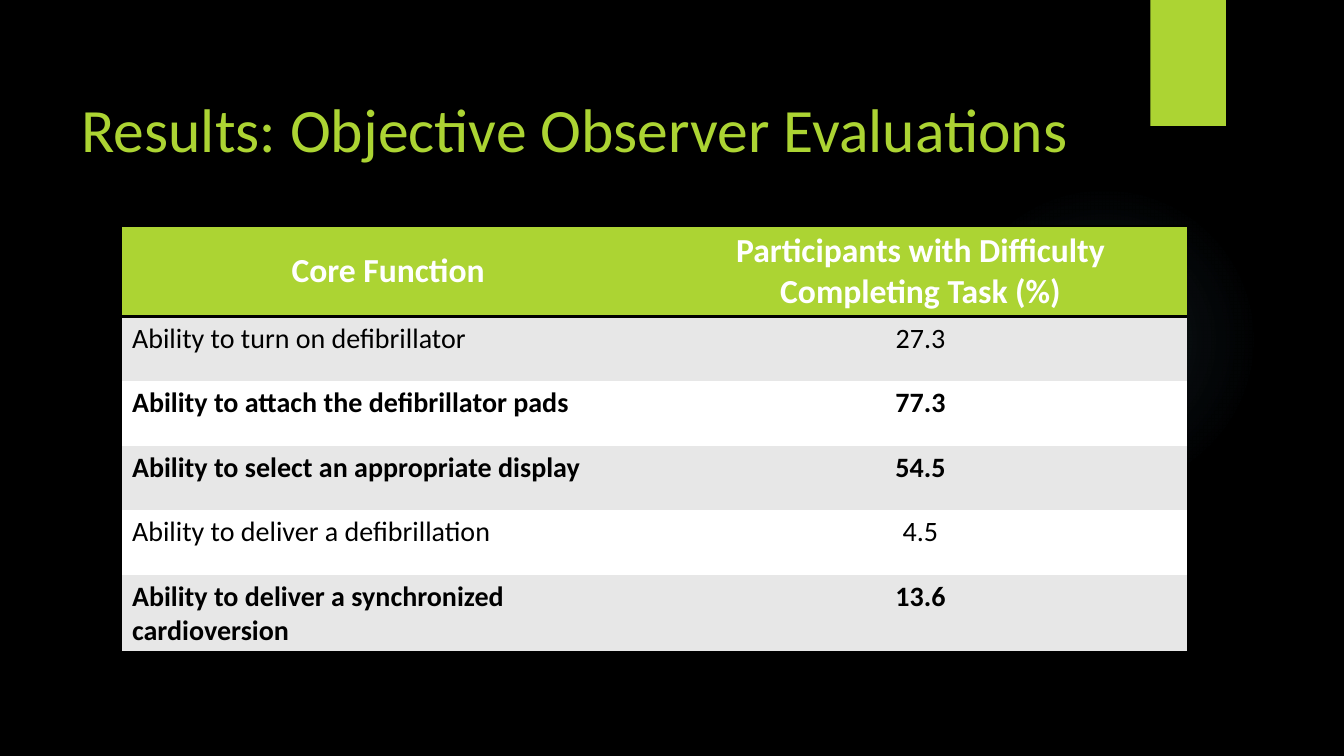
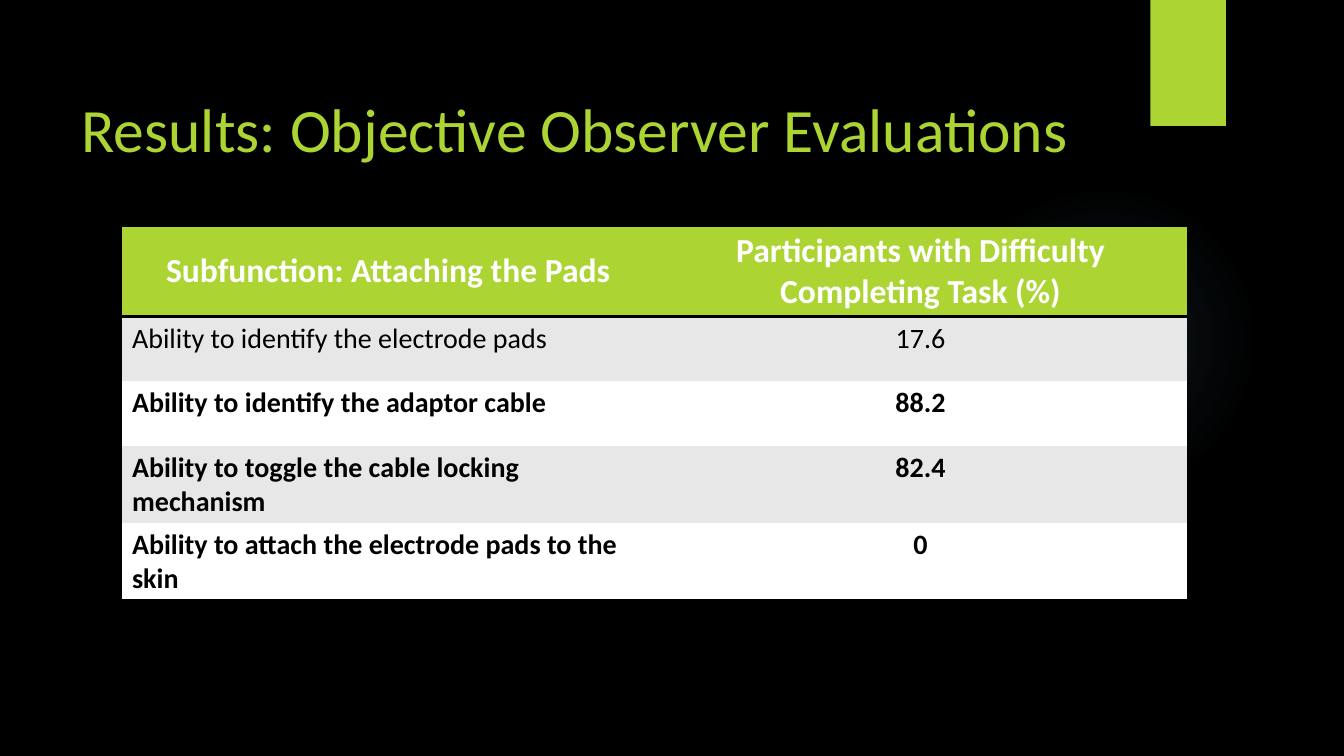
from dataclasses import dataclass

from lxml.etree import SubElement
from pptx import Presentation
from pptx.dml.color import RGBColor
from pptx.enum.shapes import MSO_SHAPE
from pptx.enum.text import MSO_ANCHOR, PP_ALIGN
from pptx.oxml import parse_xml
from pptx.oxml.ns import nsdecls, qn
from pptx.presentation import Presentation as Deck
from pptx.shapes.autoshape import Shape
from pptx.slide import Slide
from pptx.table import _Cell as Cell
from pptx.text.text import TextFrame
from pptx.util import Inches, Pt


@dataclass(frozen=True)
class Theme:
    """Colours, font and type sizes shared by the deck."""

    font: str = "Calibri"
    background: str = "000000"
    accent: str = "ACD433"
    glow: str = "7AC4F0"
    header_text: str = "FFFFFF"
    body_text: str = "000000"
    rule: str = "000000"
    stripes: tuple[str, str] = ("E7E7E7", "FFFFFF")
    title_size: int = 44
    header_size: int = 24
    body_size: int = 20
    rule_width: int = 2


@dataclass(frozen=True)
class Area:
    """A rectangle on the slide, in inches."""

    left: float
    top: float
    width: float
    height: float

    def lengths(self) -> tuple[int, int, int, int]:
        """Return the rectangle as slide lengths."""
        return (Inches(self.left), Inches(self.top),
                Inches(self.width), Inches(self.height))


@dataclass(frozen=True)
class TextStyle:
    """How one run of text looks."""

    size: int
    colour: str
    bold: bool = False
    align: PP_ALIGN = PP_ALIGN.LEFT


@dataclass(frozen=True)
class Task:
    """One evaluated task and the share of participants in difficulty."""

    name: str
    percent: str
    bold: bool = False


@dataclass(frozen=True)
class ResultPage:
    """The content of one results slide."""

    heading: str
    tasks: tuple[Task, ...]


THEME = Theme()
SLIDE_WIDTH, SLIDE_HEIGHT = 13.33, 7.5
GLOW = Area(9.41, 1.83, 3.08, 3.08)
BAND = Area(11.41, 0, 0.75, SLIDE_HEIGHT / 6)
TITLE = Area(0.71, 0.5, 10.29, 1.53)
TABLE_LEFT, TABLE_TOP, TABLE_WIDTH, ROW_HEIGHT = 1.21, 2.24, 10.56, 0.64
GLOW_STOPS = ((0, 7), (36, 6), (69, 0))
PLAIN_TABLE_STYLE = "{2D5ABB26-0587-4C30-8999-92F81FD0307C}"

TITLE_TEXT = "Results: Objective Observer Evaluations"
PERCENT_HEADING = "Participants with Difficulty Completing Task (%)"
PAGES = (
    ResultPage("Core Function", (
        Task("Ability to turn on defibrillator", "27.3"),
        Task("Ability to attach the defibrillator pads", "77.3", True),
        Task("Ability to select an appropriate display", "54.5", True),
        Task("Ability to deliver a defibrillation", "4.5"),
        Task("Ability to deliver a synchronized cardioversion", "13.6", True),
    )),
    ResultPage("Subfunction: Attaching the Pads", (
        Task("Ability to identify the electrode pads", "17.6"),
        Task("Ability to identify the adaptor cable", "88.2", True),
        Task("Ability to toggle the cable locking mechanism", "82.4", True),
        Task("Ability to attach the electrode pads to the skin", "0", True),
    )),
)


def write(frame: TextFrame, text: str, style: TextStyle) -> None:
    """Write one styled run into the first paragraph of a frame."""
    para = frame.paragraphs[0]
    para.alignment = style.align
    span = para.add_run()
    span.text = text
    span.font.name = THEME.font
    span.font.size = Pt(style.size)
    span.font.bold = style.bold
    span.font.color.rgb = RGBColor.from_string(style.colour)


def add_plain_shape(page: Slide, kind: MSO_SHAPE, area: Area, colour: str) -> Shape:
    """Add a filled shape with neither outline nor shadow."""
    shape = page.shapes.add_shape(kind, *area.lengths())
    shape.shadow.inherit = False
    shape.line.fill.background()
    shape.fill.solid()
    shape.fill.fore_color.rgb = RGBColor.from_string(colour)
    return shape


def add_glow(page: Slide) -> None:
    """Add the faint round glow that fades to transparent."""
    glow = add_plain_shape(page, MSO_SHAPE.OVAL, GLOW, THEME.glow)
    stops = "".join(
        f'<a:gs pos="{place * 1000}"><a:srgbClr val="{THEME.glow}">'
        f'<a:alpha val="{opacity * 1000}"/></a:srgbClr></a:gs>'
        for place, opacity in GLOW_STOPS)
    gradient = parse_xml(
        f'<a:gradFill {nsdecls("a")} rotWithShape="1"><a:gsLst>{stops}</a:gsLst>'
        '<a:path path="circle"><a:fillToRect l="50000" t="50000" r="50000" b="50000"/>'
        '</a:path></a:gradFill>')
    properties = glow.element.spPr
    properties.replace(properties.find(qn("a:solidFill")), gradient)


def add_title(page: Slide) -> None:
    """Add the slide title."""
    box = page.shapes.add_textbox(*TITLE.lengths())
    box.text_frame.word_wrap = True
    box.text_frame.vertical_anchor = MSO_ANCHOR.MIDDLE
    write(box.text_frame, TITLE_TEXT, TextStyle(THEME.title_size, THEME.accent))


def add_rules(cell: Cell, *edges: str) -> None:
    """Draw rules on the named edges of a cell, in schema order."""
    properties = cell._tc.get_or_add_tcPr()
    for position, edge in enumerate(edges):
        line = SubElement(properties, qn(f"a:{edge}"), w=str(Pt(THEME.rule_width)))
        fill = SubElement(line, qn("a:solidFill"))
        SubElement(fill, qn("a:srgbClr"), val=THEME.rule)
        properties.insert(position, line)


def fill_cell(cell: Cell, text: str, style: TextStyle, colour: str) -> None:
    """Fill a table cell with a colour and its text."""
    cell.fill.solid()
    cell.fill.fore_color.rgb = RGBColor.from_string(colour)
    write(cell.text_frame, text, style)


def add_results(page: Slide, content: ResultPage) -> None:
    """Add the striped table of tasks and percentages."""
    count = len(content.tasks) + 1
    area = Area(TABLE_LEFT, TABLE_TOP, TABLE_WIDTH, ROW_HEIGHT * count)
    holder = page.shapes.add_table(count, 2, *area.lengths())
    for style_id in holder.element.iter(qn("a:tableStyleId")):
        style_id.text = PLAIN_TABLE_STYLE
    table = holder.table
    header = TextStyle(THEME.header_size, THEME.header_text, True, PP_ALIGN.CENTER)
    for column, heading in enumerate((content.heading, PERCENT_HEADING)):
        cell = table.cell(0, column)
        fill_cell(cell, heading, header, THEME.accent)
        cell.vertical_anchor = MSO_ANCHOR.MIDDLE
        add_rules(cell, "lnT", "lnB")
        add_rules(table.cell(count - 1, column), "lnB")
    for row, task in enumerate(content.tasks, start=1):
        stripe = THEME.stripes[(row - 1) % 2]
        entries = ((task.name, PP_ALIGN.LEFT), (task.percent, PP_ALIGN.CENTER))
        for column, (text, align) in enumerate(entries):
            style = TextStyle(THEME.body_size, THEME.body_text, task.bold, align)
            fill_cell(table.cell(row, column), text, style, stripe)


def add_page(deck: Deck, content: ResultPage) -> None:
    """Add one complete results slide."""
    page = deck.slides.add_slide(deck.slide_layouts[6])
    page.background.fill.solid()
    page.background.fill.fore_color.rgb = RGBColor.from_string(THEME.background)
    add_glow(page)
    add_plain_shape(page, MSO_SHAPE.RECTANGLE, BAND, THEME.accent)
    add_title(page)
    add_results(page, content)


def main() -> None:
    """Build and save the deck."""
    deck = Presentation()
    deck.slide_width, deck.slide_height = Inches(SLIDE_WIDTH), Inches(SLIDE_HEIGHT)
    for content in PAGES:
        add_page(deck, content)
    deck.save("out.pptx")


if __name__ == "__main__":
    main()
